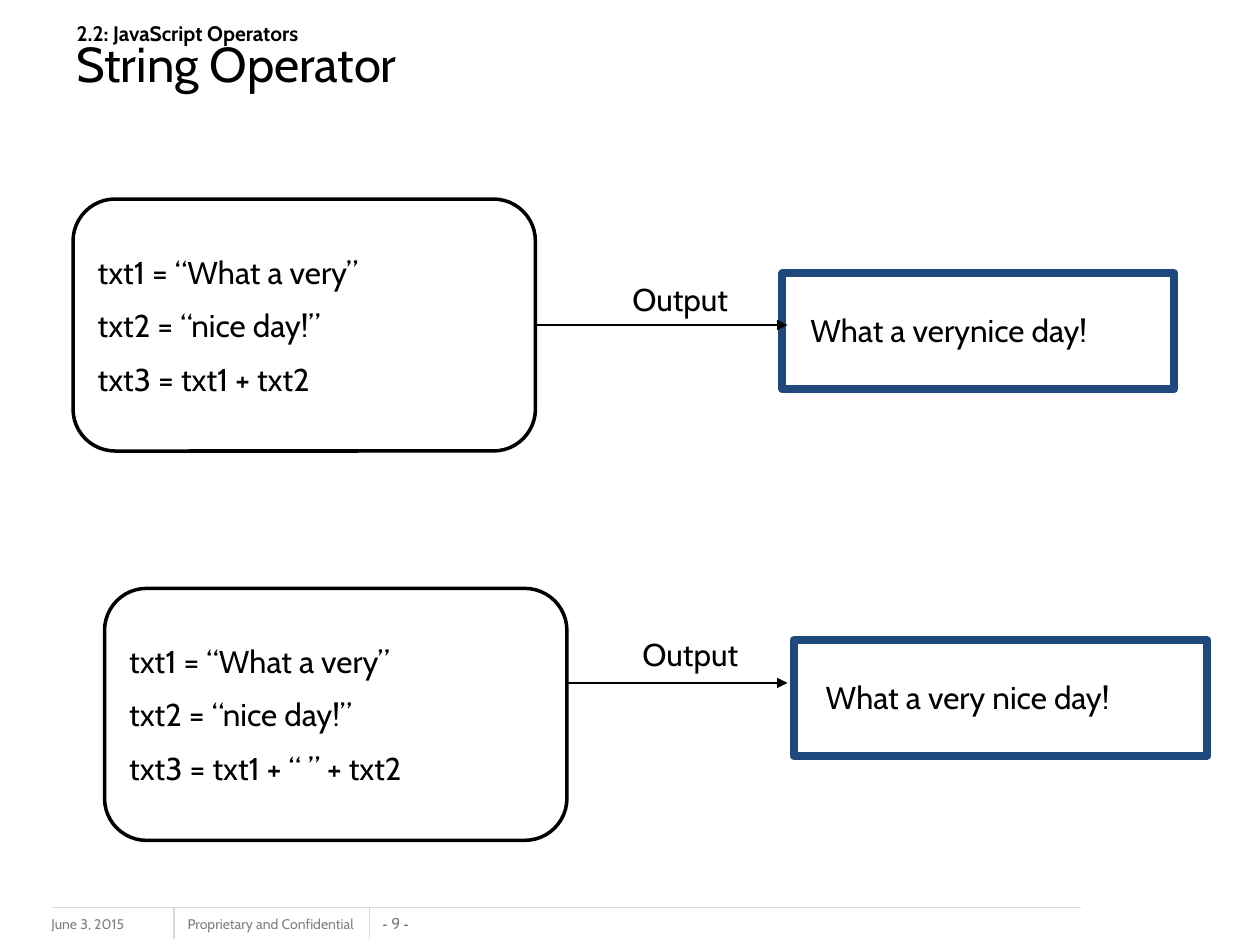
from dataclasses import dataclass

import pptx
import pptx.dml.color
import pptx.enum.shapes
import pptx.enum.text
import pptx.oxml
import pptx.oxml.ns
import pptx.util
from pptx.util import Inches

Kind = pptx.enum.shapes.MSO_SHAPE
Align = pptx.enum.text.PP_ALIGN
Anchor = pptx.enum.text.MSO_ANCHOR


@dataclass(frozen=True)
class Theme:
    font: str = "Cabin"
    alt: str = "Arial"
    ink: str = "000000"
    paper: str = "FFFFFF"
    navy: str = "1F497D"
    gray: str = "808080"
    rule: str = "D9D9D9"
    title: float = 28
    body: float = 18
    head: float = 12
    page: float = 9
    foot: float = 8


@dataclass(frozen=True)
class Box:
    left: float
    top: float
    width: float
    height: float

    def emu(self) -> tuple:
        return tuple(Inches(n) for n in (self.left, self.top, self.width, self.height))


@dataclass(frozen=True)
class Case:
    code: Box
    lines: tuple
    label: Box
    y: float
    frame: Box
    words: Box
    result: str


THEME = Theme()
SETUP = ("txt1 = “What a very”", "txt2 = “nice day!”")
TIP = 6.25
CASES = (
    Case(Box(0.58, 1.58, 3.67, 2), SETUP + ("txt3 = txt1 + txt2",),
         Box(4.92, 2.17, 1.08, 0.4), 2.58,
         Box(6.21, 2.17, 3.11, 0.92), Box(6.33, 2.42, 2.4, 0.4),
         "What a verynice day!"),
    Case(Box(0.83, 4.67, 3.67, 2), SETUP + ("txt3 = txt1 + “ ” + txt2",),
         Box(5, 4.99, 1.08, 0.4), 5.42,
         Box(6.3, 5.08, 3.28, 0.92), Box(6.45, 5.33, 2.46, 0.4),
         "What a very nice day!"),
)


def paint(code: str) -> pptx.dml.color.RGBColor:
    return pptx.dml.color.RGBColor.from_string(code)


def add_run(para, text: str, size: float, color: str = THEME.ink,
            font: str = THEME.font, bold: bool = False) -> None:
    run = para.add_run()
    run.text = text
    run.font.name = font
    run.font.size = pptx.util.Pt(size)
    run.font.bold = bold
    run.font.color.rgb = paint(color)


def add_text(slide, box: Box, wrap: bool = True, align=Align.LEFT):
    frame = slide.shapes.add_textbox(*box.emu()).text_frame
    frame.word_wrap = wrap
    frame.paragraphs[0].alignment = align
    return frame


def add_shape(slide, kind, box: Box, color: str, width: float):
    shape = slide.shapes.add_shape(kind, *box.emu())
    shape.shadow.inherit = False
    shape.fill.background()
    shape.line.color.rgb = paint(color)
    shape.line.width = pptx.util.Pt(width)
    return shape


def add_line(slide, start: tuple, end: tuple, color: str, arrow: bool = False) -> None:
    ends = [Inches(n) for n in start + end]
    line = slide.shapes.add_connector(pptx.enum.shapes.MSO_CONNECTOR.STRAIGHT, *ends)
    line.line.color.rgb = paint(color)
    line.line.width = pptx.util.Pt(0.75)
    if arrow:
        tail = pptx.oxml.parse_xml(
            f'<a:tailEnd {pptx.oxml.ns.nsdecls("a")} type="triangle"/>')
        line.line._get_or_add_ln().append(tail)
    line._element.spPr.append(
        pptx.oxml.parse_xml(f'<a:effectLst {pptx.oxml.ns.nsdecls("a")}/>'))


def add_code(slide, box: Box, lines: tuple) -> None:
    shape = add_shape(slide, Kind.ROUNDED_RECTANGLE, box, THEME.ink, 2)
    shape.adjustments[0] = 0.167
    shape.fill.solid()
    shape.fill.fore_color.rgb = paint(THEME.paper)
    frame = shape.text_frame
    frame.word_wrap = True
    frame.vertical_anchor = Anchor.MIDDLE
    for i, text in enumerate(lines):
        para = frame.add_paragraph() if i else frame.paragraphs[0]
        para.alignment = Align.LEFT
        para.space_before = pptx.util.Pt(THEME.body / 2 if i else 0)
        add_run(para, text, THEME.body)


def add_case(slide, case: Case) -> None:
    words = add_text(slide, case.words, False, Align.CENTER)
    add_run(words.paragraphs[0], case.result, THEME.body)
    add_shape(slide, Kind.RECTANGLE, case.frame, THEME.navy, 4.5)
    add_code(slide, case.code, case.lines)
    edge = case.code.left + case.code.width
    add_line(slide, (edge, case.y), (TIP, case.y), THEME.ink, True)
    label = add_text(slide, case.label)
    add_run(label.paragraphs[0], "Output", THEME.body)


def add_foot(slide) -> None:
    date = add_text(slide, Box(0.31, 7.22, 1.33, 0.25))
    add_run(date.paragraphs[0], "June 3, 2015", THEME.foot, THEME.gray)
    note = add_text(slide, Box(1.39, 7.22, 1.57, 0.24), False)
    add_run(note.paragraphs[0], "Proprietary and Confidential", THEME.foot, THEME.gray)

    # Page number
    page = add_text(slide, Box(3.01, 7.25, 0.26, 0.15), False, Align.CENTER)
    page.margin_left = page.margin_right = page.margin_top = page.margin_bottom = 0
    page.vertical_anchor = Anchor.BOTTOM
    para = page.paragraphs[0]
    add_run(para, "- ", THEME.foot, THEME.navy, THEME.alt)
    add_run(para, "9 ", THEME.page, THEME.gray)
    add_run(para, "-", THEME.foot, THEME.navy, THEME.alt)

    # Rules
    add_line(slide, (0.42, 7.2), (8.58, 7.2), THEME.rule)
    for x in (1.38, 2.93):
        add_line(slide, (x, 7.2), (x, 7.45), THEME.rule)


def add_title(slide) -> None:
    frame = add_text(slide, Box(0.51, 0.15, 8.92, 0.78))
    para = frame.paragraphs[0]
    para.line_spacing = 0.8
    add_run(para, "2.2: JavaScript Operators", THEME.head, bold=True)
    para.add_line_break()
    add_run(para, "String Operator", THEME.title)


def main() -> None:
    deck = pptx.Presentation()
    deck.slide_width, deck.slide_height = Inches(10), Inches(7.5)
    slide = deck.slides.add_slide(deck.slide_layouts[6])
    add_foot(slide)
    for case in CASES:
        add_case(slide, case)
    add_title(slide)
    deck.save("out.pptx")


if __name__ == "__main__":
    main()
